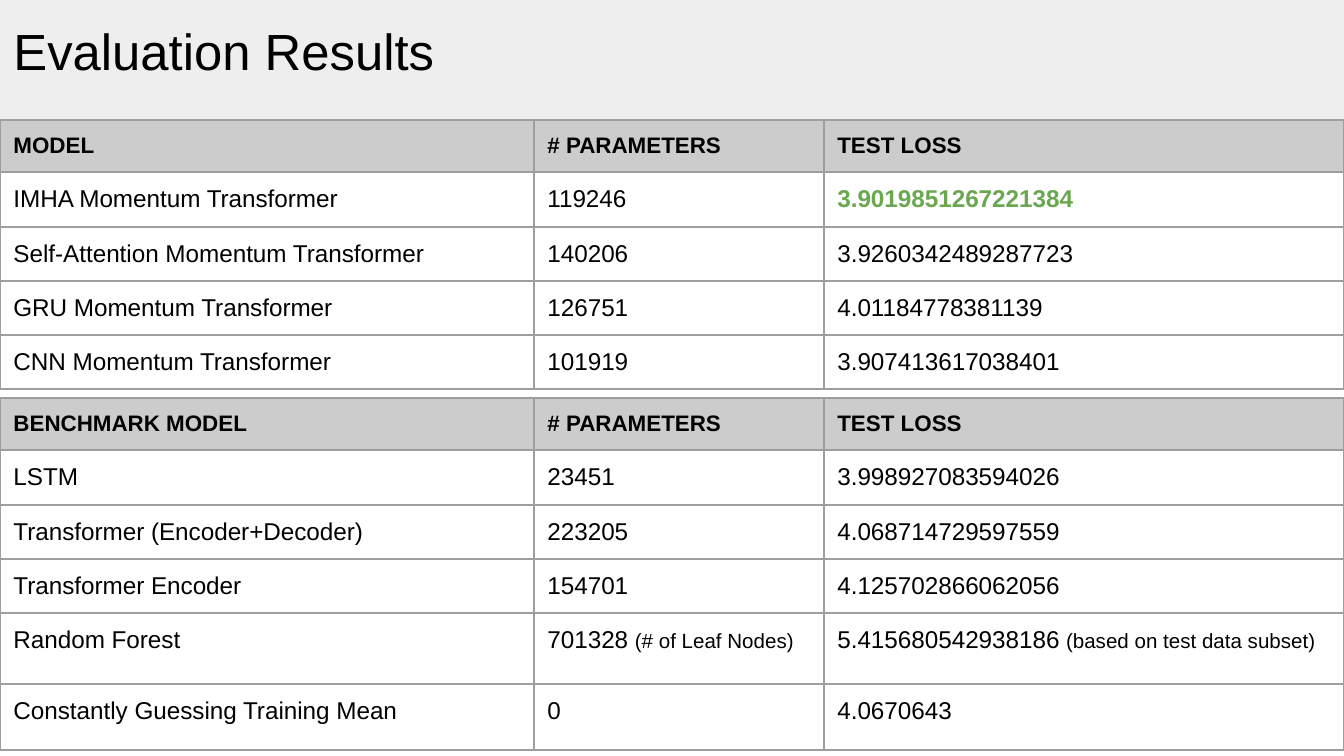
from lxml import etree
from pptx import Presentation
from pptx import util as u
from pptx.dml.color import RGBColor
from pptx.enum import text
from pptx.oxml import ns

BLACK = RGBColor(0, 0, 0)
GREEN = RGBColor(0x6A, 0xA8, 0x4F)
PALE = RGBColor(0xEE, 0xEE, 0xEE)
GRAY = RGBColor(0xCC, 0xCC, 0xCC)
LINE = RGBColor(0x9E, 0x9E, 0x9E)
FONT = "Arial"
SCALE = 914400 / 134.4
COLS = (534, 290, 520)
PAD = u.Inches(0.1)


def px(n):
    return u.Emu(round(n * SCALE))


def write(para, words, size=13, bold=False, color=BLACK):
    run = para.add_run()
    run.text = words
    font = run.font
    font.name, font.size, font.bold = FONT, u.Pt(size), bold
    font.color.rgb = color


class Deck:
    def __init__(self, width, height):
        self.prs = Presentation()
        self.prs.slide_width, self.prs.slide_height = px(width), px(height)
        self.slide = self.prs.slides.add_slide(self.prs.slide_layouts[5])

    def title(self, words, width, height):
        box = self.slide.shapes.title
        box.left, box.top, box.width, box.height = 0, 0, px(width), px(height)
        box.fill.solid()
        box.fill.fore_color.rgb = PALE
        frame = box.text_frame
        frame.auto_size = text.MSO_AUTO_SIZE.NONE
        frame.vertical_anchor = text.MSO_ANCHOR.TOP
        frame.margin_left = frame.margin_right = frame.margin_bottom = PAD
        frame.margin_top = px(20)
        para = frame.paragraphs[0]
        para.alignment = text.PP_ALIGN.LEFT
        write(para, words, size=27.2)

    def border(self, cell):
        props = cell._tc.get_or_add_tcPr()
        for i, side in enumerate(("lnL", "lnR", "lnT", "lnB")):
            line = etree.Element(ns.qn("a:" + side), w=str(u.Pt(0.75)))
            fill = etree.SubElement(line, ns.qn("a:solidFill"))
            etree.SubElement(fill, ns.qn("a:srgbClr"), val=str(LINE))
            props.insert(i, line)

    def cell(self, cell, words, head):
        cell.margin_left = cell.margin_right = PAD
        cell.margin_top = cell.margin_bottom = PAD
        if head:
            cell.fill.solid()
            cell.fill.fore_color.rgb = GRAY
        else:
            cell.fill.background()
        self.border(cell)
        para = cell.text_frame.paragraphs[0]
        look = {"size": 12, "bold": True} if head else {}
        runs = [(words, look)] if isinstance(words, str) else words
        for part, style in runs:
            write(para, part, **style)

    def table(self, top, highs, rows):
        grid = self.slide.shapes.add_table(
            len(rows), len(COLS), 0, px(top), px(sum(COLS)), px(sum(highs))
        ).table
        grid.first_row = grid.horz_banding = False
        for col, width in zip(grid.columns, COLS):
            col.width = px(width)
        for r, (high, row) in enumerate(zip(highs, rows)):
            grid.rows[r].height = px(high)
            for c, words in enumerate(row):
                self.cell(grid.cell(r, c), words, r == 0)


NOTE = {"size": 11}
BEST = {"bold": True, "color": GREEN}
HEADS = ("# PARAMETERS", "TEST LOSS")
MODELS = [
    ("MODEL", *HEADS),
    ("IMHA Momentum Transformer", "119246", [("3.9019851267221384", BEST)]),
    ("Self-Attention Momentum Transformer", "140206", "3.9260342489287723"),
    ("GRU Momentum Transformer", "126751", "4.01184778381139"),
    ("CNN Momentum Transformer", "101919", "3.907413617038401"),
]
BENCH = [
    ("BENCHMARK MODEL", *HEADS),
    ("LSTM", "23451", "3.998927083594026"),
    ("Transformer (Encoder+Decoder)", "223205", "4.068714729597559"),
    ("Transformer Encoder", "154701", "4.125702866062056"),
    (
        "Random Forest",
        [("701328 ", {}), ("(# of Leaf Nodes)", NOTE)],
        [("5.415680542938186 ", {}), ("(based on test data subset)", NOTE)],
    ),
    ("Constantly Guessing Training Mean", "0", "4.0670643"),
]


def main():
    deck = Deck(1344, 756)
    deck.title("Evaluation Results", 1344, 120)
    deck.table(120, (43, 55, 43, 43, 42), MODELS)
    deck.table(398, (40, 55, 43, 43, 71, 66), BENCH)
    deck.prs.save("out.pptx")


if __name__ == "__main__":
    main()
